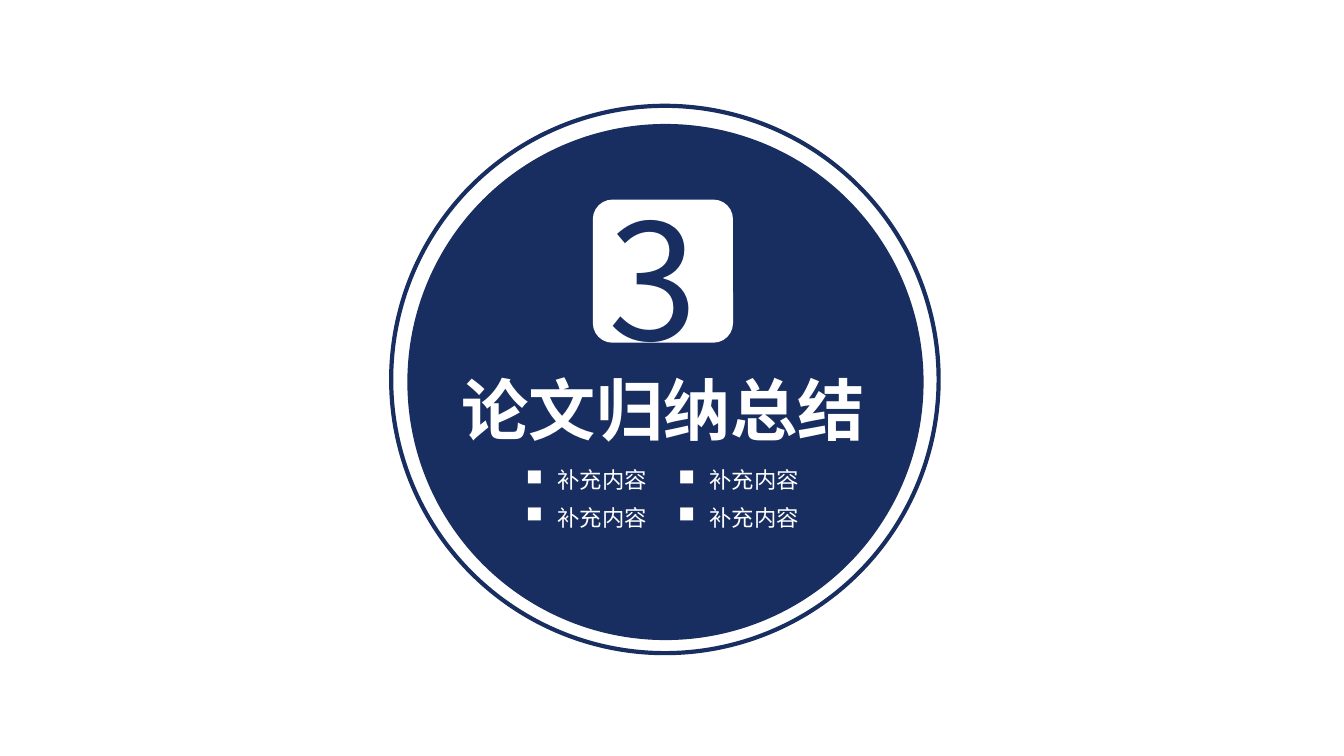
import pptx
import pptx.dml.color
import pptx.enum.shapes
import pptx.enum.text
import pptx.oxml.ns
import pptx.util
from lxml import etree

PX = 9144  # EMU: 100 px to the inch
NAVY = pptx.dml.color.RGBColor(0x18, 0x2E, 0x60)
WHITE = pptx.dml.color.RGBColor(0xFF, 0xFF, 0xFF)
FONT = "Noto Sans CJK SC"
SHAPES = pptx.enum.shapes.MSO_SHAPE


def emu(*lengths):
    return [pptx.util.Emu(length * PX) for length in lengths]


def add_plain_shape(slide, kind, box, fill=None, line=None):
    shape = slide.shapes.add_shape(kind, *emu(*box))
    shape.shadow.inherit = False
    if fill is None:
        shape.fill.background()
    else:
        shape.fill.solid()
        shape.fill.fore_color.rgb = fill
    if line is None:
        shape.line.fill.background()
    else:
        shape.line.color.rgb = line
        shape.line.width = pptx.util.Pt(3)
    return shape


def add_bullet(paragraph, indent):
    properties = paragraph._p.get_or_add_pPr()
    properties.set("marL", str(indent * PX))
    properties.set("indent", str(-indent * PX))
    bullet = etree.SubElement(properties, pptx.oxml.ns.qn("a:buChar"))
    bullet.set("char", "■")


def add_text(slide, box, text, size, color, bold=False, wrap=True, bulleted=False):
    frame = slide.shapes.add_textbox(*emu(*box)).text_frame
    frame.word_wrap = wrap
    frame.auto_size = pptx.enum.text.MSO_AUTO_SIZE.SHAPE_TO_FIT_TEXT
    paragraph = frame.paragraphs[0]
    paragraph.text = text
    if bulleted:
        add_bullet(paragraph, 31)
    font = paragraph.font
    font.size = pptx.util.Pt(size)
    font.bold = bold
    font.color.rgb = color
    font.name = FONT
    east_asian = etree.SubElement(font._element, pptx.oxml.ns.qn("a:ea"))
    east_asian.set("typeface", FONT)


def add_medallion(slide, left, top, size):
    add_plain_shape(slide, SHAPES.OVAL, (left, top, size, size), line=NAVY)
    disc = size - 31
    add_plain_shape(slide, SHAPES.OVAL, (left + 16, top + 18, disc, disc), fill=NAVY)


def add_number_badge(slide, left, top, width, height, number):
    badge = add_plain_shape(slide, SHAPES.ROUNDED_RECTANGLE,
                            (left, top, width, height), fill=WHITE)
    badge.adjustments[0] = 0.14
    add_text(slide, (left + 6, top - 25, 115, 204), number, 115, NAVY)


def add_topic_grid(slide, left, top, width, height, topics):
    """Place the topics in two columns, filled row by row."""
    column_step, row_step = width // 2, height // 2
    for index, topic in enumerate(topics):
        row, column = divmod(index, 2)
        box = (left + column * column_step, top + row * row_step, 150, row_step)
        add_text(slide, box, topic, 16, WHITE, bulleted=True)


def add_section_slide(presentation, number, title, topics):
    slide = presentation.slides.add_slide(presentation.slide_layouts[6])
    add_medallion(slide, 388, 105, 543)
    add_text(slide, (448, 360, 429, 91), title, 48, WHITE, bold=True, wrap=False)
    add_number_badge(slide, 588, 198, 139, 142, number)
    add_topic_grid(slide, 512, 458, 302, 75, topics)


def main():
    presentation = pptx.Presentation()
    presentation.slide_width, presentation.slide_height = emu(1333, 750)
    add_section_slide(presentation, "3", "论文归纳总结", ["补充内容"] * 4)
    presentation.save("out.pptx")


if __name__ == "__main__":
    main()
